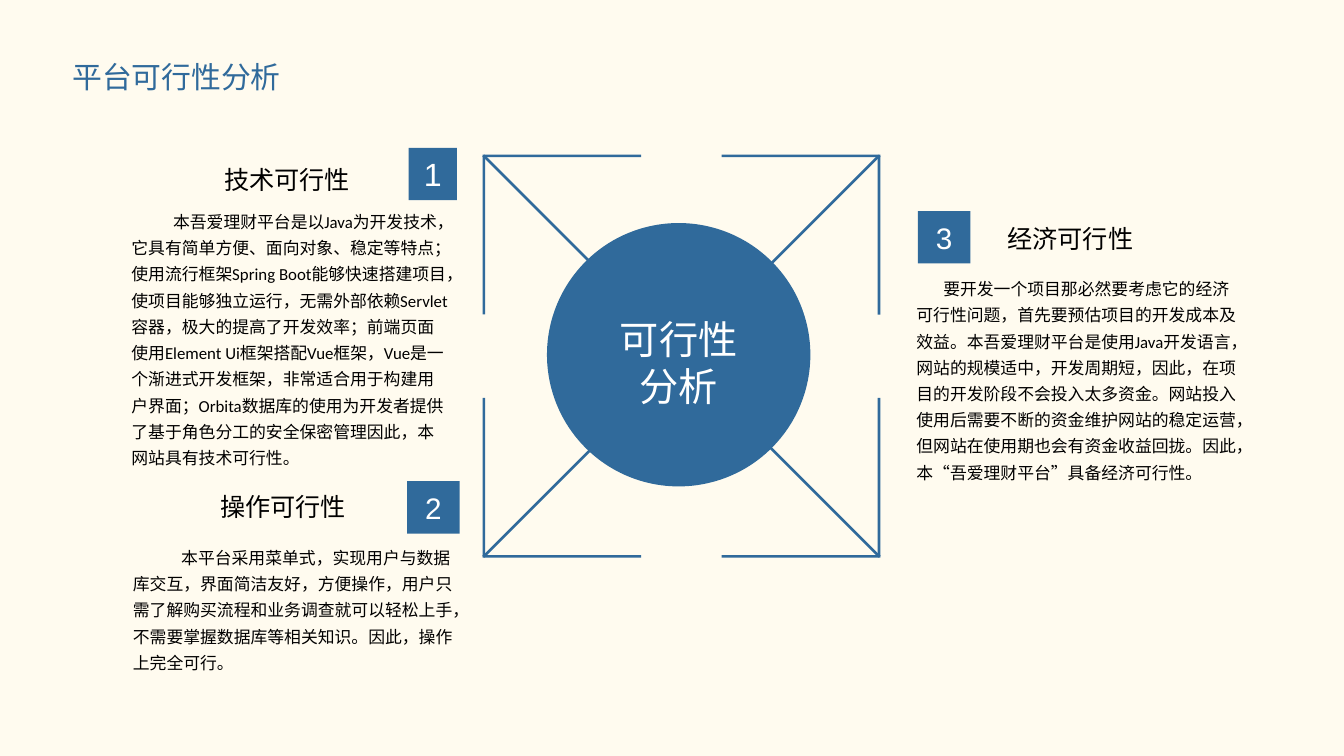
import pptx
import pptx.util
import pptx.dml.color
import pptx.enum.shapes
import pptx.enum.text
from pptx.util import Inches, Pt

BLUE, CREAM, BLACK, WHITE = "306A9B", "FFFBEF", "000000", "FFFFFF"
SHAPE = pptx.enum.shapes.MSO_SHAPE
ALIGN = pptx.enum.text.PP_ALIGN
ANCHOR = pptx.enum.text.MSO_ANCHOR

TITLE = "平台可行性分析"
CENTER = ["可行性", "分析"]
SECTIONS = [
    dict(
        number="1", number_size=17.2, badge=(3.04, 1.1, 0.36, 0.39),
        heading="技术可行性", heading_box=(1.57, 1.17, 1.22, 0.33),
        body="本吾爱理财平台是以Java为开发技术，它具有简单方便、面向对象、稳定等特点；"
             "使用流行框架Spring Boot能够快速搭建项目，使项目能够独立运行，无需外部依赖"
             "Servlet容器，极大的提高了开发效率；前端页面使用Element Ui框架搭配Vue框架，"
             "Vue是一个渐进式开发框架，非常适合用于构建用户界面；Orbita数据库的使用为开发者"
             "提供了基于角色分工的安全保密管理因此，本网站具有技术可行性。",
        body_box=(0.88, 1.48, 2.57, 2.17), indent=0.31),
    dict(
        number="2", number_size=15.9, badge=(3.03, 3.58, 0.39, 0.39),
        heading="操作可行性", heading_box=(1.54, 3.61, 1.39, 0.33),
        body="本平台采用菜单式，实现用户与数据库交互，界面简洁友好，方便操作，用户只需了解"
             "购买流程和业务调查就可以轻松上手，不需要掌握数据库等相关知识。因此，操作上完全可行。",
        body_box=(0.89, 3.98, 2.58, 1.08), indent=0.36),
    dict(
        number="3", number_size=15.9, badge=(6.83, 1.57, 0.39, 0.39),
        heading="经济可行性", heading_box=(7.4, 1.61, 1.59, 0.33),
        body="要开发一个项目那必然要考虑它的经济可行性问题，首先要预估项目的开发成本及效益。"
             "本吾爱理财平台是使用Java开发语言，网站的规模适中，开发周期短，因此，在项目的"
             "开发阶段不会投入太多资金。网站投入使用后需要不断的资金维护网站的稳定运营，但网站"
             "在使用期也会有资金收益回拢。因此，本“吾爱理财平台”具备经济可行性。",
        body_box=(6.72, 1.98, 2.58, 1.67), indent=0.2),
]

FRAME_X, FRAME_Y = 5.07, 2.65
BAR_HEIGHT = 0.02
BARS = [(0.78, 0.8, 1.96, 45), (0.89, 1.49, 1.18, 0), (1.47, 0.9, 1.18, 90)]


def rgb(color):
    return pptx.dml.color.RGBColor.from_string(color)


def add_shape(s, kind, box):
    sp = s.shapes.add_shape(kind, *map(Inches, box))
    sp.shadow.inherit = False
    sp.fill.solid()
    sp.fill.fore_color.rgb = rgb(BLUE)
    sp.line.fill.background()
    return sp


def write(tf, lines, size, font, color, align=ALIGN.LEFT):
    tf.word_wrap = True
    for i, line in enumerate(lines):
        p = tf.add_paragraph() if i else tf.paragraphs[0]
        p.text = line
        p.alignment = align
        p.font.size = Pt(size)
        p.font.name = font
        p.font.color.rgb = rgb(color)
    return tf


def add_text(s, box, lines, size, font, color, align=ALIGN.LEFT):
    sp = s.shapes.add_textbox(*map(Inches, box))
    return write(sp.text_frame, lines, size, font, color, align)


def add_frame(s):
    for sy in (-1, 1):
        for sx in (-1, 1):
            for dx, dy, length, angle in BARS:
                left = FRAME_X + sx * dx - length / 2
                top = FRAME_Y + sy * dy - BAR_HEIGHT / 2
                bar = add_shape(s, SHAPE.RECTANGLE, (left, top, length, BAR_HEIGHT))
                bar.rotation = sx * sy * angle


def add_section(s, section):
    badge = add_shape(s, SHAPE.RECTANGLE, section["badge"])
    tf = write(badge.text_frame, [section["number"]], section["number_size"],
               "Arial", WHITE, ALIGN.CENTER)
    tf.vertical_anchor = ANCHOR.MIDDLE
    add_text(s, section["heading_box"], [section["heading"]], 13.5, "Calibri", BLACK)
    tf = add_text(s, section["body_box"], [section["body"]], 9, "Calibri", BLACK)
    p = tf.paragraphs[0]
    p.line_spacing = 1.3
    p._p.get_or_add_pPr().set("indent", str(Inches(section["indent"])))


def main():
    prs = pptx.Presentation()
    prs.slide_width, prs.slide_height = Inches(10), Inches(10 * 9 / 16)
    s = prs.slides.add_slide(prs.slide_layouts[6])
    s.background.fill.solid()
    s.background.fill.fore_color.rgb = rgb(CREAM)

    add_text(s, (0.44, 0.39, 1.93, 0.37), [TITLE], 16, "Noto Sans CJK SC", BLUE)
    add_frame(s)
    add_shape(s, SHAPE.OVAL, (4.07, 1.66, 1.96, 1.96))
    add_text(s, (4.49, 2.3, 1.12, 0.81), CENTER, 21, "Arial", WHITE, ALIGN.CENTER)
    for section in SECTIONS:
        add_section(s, section)
    prs.save("out.pptx")


if __name__ == "__main__":
    main()
